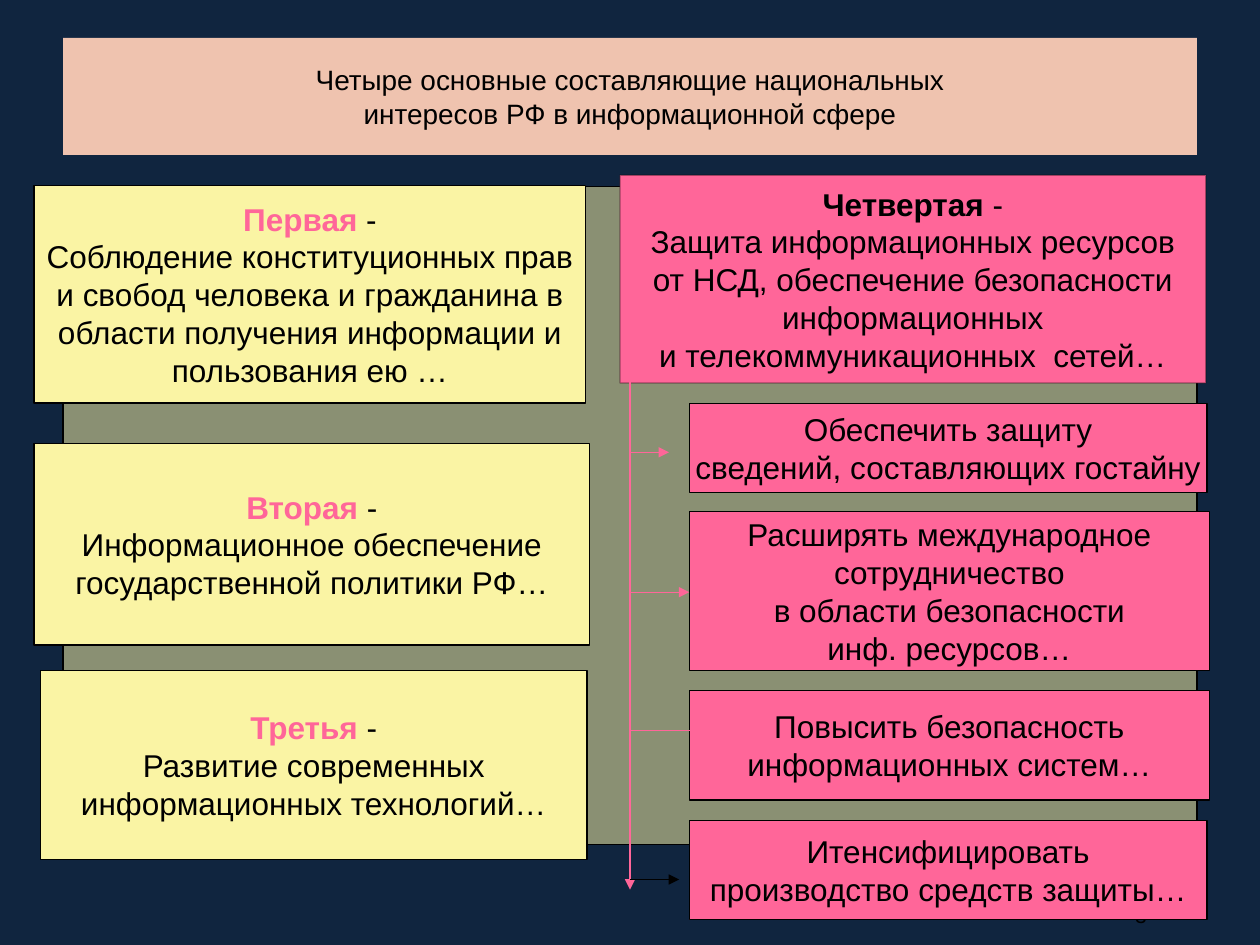
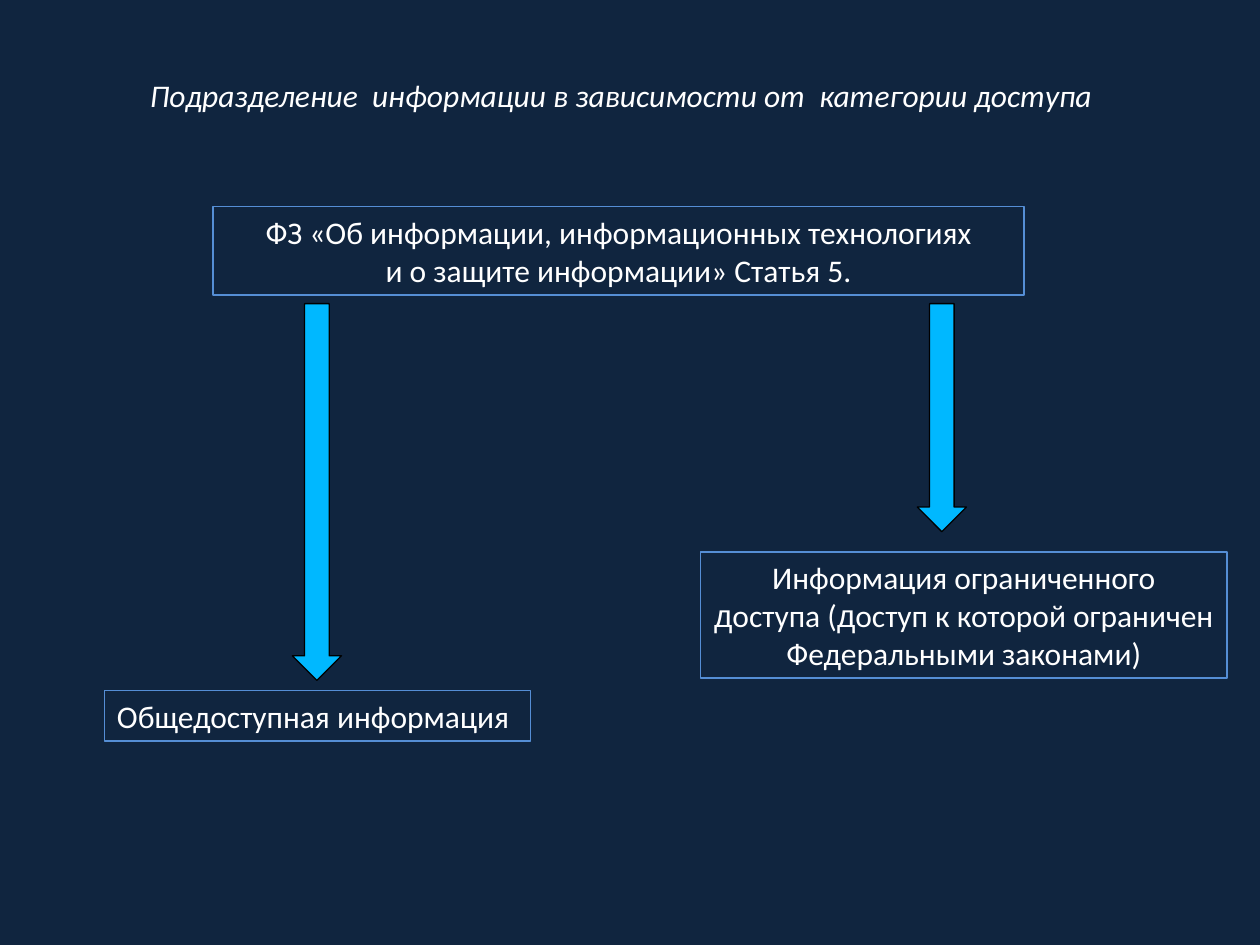
import pptx
import pptx.dml.color
import pptx.enum.shapes
import pptx.enum.text
import pptx.oxml.ns
import pptx.util
from lxml import etree

Inches, Pt = pptx.util.Inches, pptx.util.Pt
RGBColor = pptx.dml.color.RGBColor
SHAPE = pptx.enum.shapes.MSO_SHAPE
ALIGN = pptx.enum.text.PP_ALIGN
ANCHOR = pptx.enum.text.MSO_ANCHOR
qn = pptx.oxml.ns.qn

NAVY = RGBColor(0x10, 0x25, 0x3F)
PEACH = RGBColor(0xEF, 0xC3, 0xAF)
YELLOW = RGBColor(0xFA, 0xF4, 0xA4)
PINK = RGBColor(0xFF, 0x66, 0x99)
BLUE = RGBColor(0x55, 0x8E, 0xD5)
CYAN = RGBColor(0x00, 0xB8, 0xFF)
BLACK = RGBColor(0, 0, 0)
WHITE = RGBColor(0xFF, 0xFF, 0xFF)


def set_alpha(fill_parent, percent):
    """Make the solid fill below an element partly transparent."""
    color = fill_parent.find(qn("a:solidFill"))[0]
    etree.SubElement(color, qn("a:alpha")).set("val", str(percent * 1000))


class Deck:
    """Holds the presentation, the current slide and its text style."""

    def __init__(self):
        self.prs = pptx.Presentation()
        self.prs.slide_width, self.prs.slide_height = Inches(10), Inches(7.5)

    def new_slide(self, font, color):
        self.s = self.prs.slides.add_slide(self.prs.slide_layouts[5])
        self.s.background.fill.solid()
        self.s.background.fill.fore_color.rgb = NAVY
        self.style = {"name": font, "size": Pt(18), "bold": False, "italic": False}
        self.color = color

    def add_text(self, tf, lines, align=ALIGN.CENTER, anchor=ANCHOR.MIDDLE, wrap=False, **fmt):
        """Add one paragraph a line; a line is a string or (text, format) pairs."""
        frame = {"word_wrap": wrap, "vertical_anchor": anchor,
                 "auto_size": pptx.enum.text.MSO_AUTO_SIZE.NONE,
                 "margin_left": Inches(0.1), "margin_right": Inches(0.1),
                 "margin_top": Inches(0.05), "margin_bottom": Inches(0.05)}
        for key, value in frame.items():
            setattr(tf, key, value)
        for i, line in enumerate(lines):
            p = tf.add_paragraph() if i else tf.paragraphs[0]
            p.alignment = align
            for text, own in [(line, {})] if isinstance(line, str) else line:
                r = p.add_run()
                r.text = text
                values = {**self.style, **fmt, **own}
                r.font.color.rgb = values.pop("color", self.color)
                for key, value in values.items():
                    setattr(r.font, key, value)

    def title(self, at, lines, fill=None, **fmt):
        sp = self.s.shapes.title
        sp.left, sp.top, sp.width, sp.height = map(Inches, at)
        if fill is not None:
            sp.fill.solid()
            sp.fill.fore_color.rgb = fill
        self.add_text(sp.text_frame, lines, wrap=True, **fmt)

    def label(self, at, text, **fmt):
        sp = self.s.shapes.add_textbox(*map(Inches, at))
        self.add_text(sp.text_frame, [text], **fmt)

    def shape(self, at, lines=(), fill=None, line=BLACK, width=0.75, kind=SHAPE.RECTANGLE,
              fill_alpha=None, line_alpha=None, **fmt):
        sp = self.s.shapes.add_shape(kind, *map(Inches, at))
        sp.shadow.inherit = False
        if fill is None:
            sp.fill.background()
        else:
            sp.fill.solid()
            sp.fill.fore_color.rgb = fill
        sp.line.color.rgb = line
        sp.line.width = Pt(width)
        props = sp._element.spPr
        if fill_alpha:
            set_alpha(props, fill_alpha)
        if line_alpha:
            set_alpha(props.find(qn("a:ln")), line_alpha)
        if lines:
            self.add_text(sp.text_frame, lines, **fmt)

    def arrow(self, x1, y1, x2, y2, color=PINK):
        c = self.s.shapes.add_connector(pptx.enum.shapes.MSO_CONNECTOR.STRAIGHT,
                                        *map(Inches, (x1, y1, x2, y2)))
        c.line.color.rgb = color
        c.line.width = Pt(0.75)
        props = c._element.spPr
        etree.SubElement(props.find(qn("a:ln")), qn("a:tailEnd")).set("type", "triangle")
        etree.SubElement(props, qn("a:effectLst"))


def heading(text, color):
    return [(text, {"bold": True, "color": color}), (" -", {})]


def build_interests(deck):
    deck.new_slide("Arial", BLACK)
    deck.title((0.5, 0.3, 9, 0.93),
               ["Четыре основные составляющие национальных",
                "интересов РФ в информационной сфере"], fill=PEACH, size=Pt(16))
    deck.label((8.12, 7.06, 1.08, 0.4), "3", align=ALIGN.RIGHT, wrap=True, size=Pt(12))
    deck.shape((0.5, 1.48, 9, 5.22), fill=YELLOW, fill_alpha=52)

    # First three interests
    interests = [
        ((0.27, 1.47, 4.38, 1.73), "Первая",
         ["Соблюдение конституционных прав", "и свобод человека и гражданина в",
          "области получения информации и", "пользования ею …"]),
        ((0.27, 3.52, 4.41, 1.6), "Вторая",
         ["Информационное обеспечение", "государственной политики РФ…"]),
        ((0.32, 5.32, 4.34, 1.5), "Третья",
         ["Развитие современных", "информационных технологий…"]),
    ]
    for at, name, lines in interests:
        deck.shape(at, [heading(name, PINK)] + lines, fill=YELLOW)

    # Fourth interest and its tasks
    deck.shape((4.92, 1.39, 4.65, 1.65),
               [heading("Четвертая", BLACK), "Защита информационных ресурсов",
                "от НСД, обеспечение безопасности", "информационных",
                "и телекоммуникационных  сетей…"], fill=PINK, line_alpha=37)
    tasks = [
        (3.2, 4.11, 0.71, ["Обеспечить защиту", "сведений, составляющих гостайну"]),
        (4.06, 4.13, 1.26, ["Расширять международное", "сотрудничество",
                            "в области безопасности", "инф. ресурсов…"]),
        (5.48, 4.13, 0.87, ["Повысить безопасность", "информационных систем…"]),
        (6.51, 4.11, 0.79, ["Итенсифицировать", "производство средств защиты…"]),
    ]
    for top, width, height, lines in tasks:
        deck.shape((5.47, top, width, height), lines, fill=PINK)

    # Trunk and branches
    trunk = 5
    deck.arrow(trunk, 2.96, trunk, 7.06)
    for y, end, color in [(5.8, 6.02, PINK), (3.59, 5.31, PINK),
                          (4.7, 5.47, PINK), (6.98, 5.39, BLACK)]:
        deck.arrow(trunk, y, end, y, color)


def build_access(deck):
    deck.new_slide("Calibri", WHITE)
    deck.title((1.09, 0.55, 8.67, 0.4),
               ["Подразделение  информации в зависимости от  категории доступа"],
               align=ALIGN.LEFT, anchor=ANCHOR.TOP, italic=True)

    # Law and the two categories
    arial = {"name": "Arial"}
    boxes = [
        ((5.56, 4.38, 4.18, 1), ALIGN.CENTER,
         ["Информация ограниченного",
          [("д", arial), ("оступа (", {}), ("д", arial), ("оступ к которой ограничен", {})],
          "Федеральными законами)"]),
        ((0.83, 5.48, 3.38, 0.4), ALIGN.LEFT, ["Общедоступная информация"]),
        ((1.69, 1.64, 6.44, 0.7), ALIGN.CENTER,
         ["ФЗ «Об информации, информационных технологиях",
          "и о защите информации» Статья 5."]),
    ]
    for at, align, lines in boxes:
        deck.shape(at, lines, line=BLUE, width=1, align=align, anchor=ANCHOR.TOP,
                   wrap=align == ALIGN.LEFT)

    # Arrows from the law
    for left, height in [(7.28, 1.81), (2.32, 2.99)]:
        deck.shape((left, 2.41, 0.39, height), fill=CYAN, kind=SHAPE.DOWN_ARROW)


def main():
    deck = Deck()
    build_interests(deck)
    build_access(deck)
    deck.prs.save("out.pptx")


if __name__ == "__main__":
    main()
